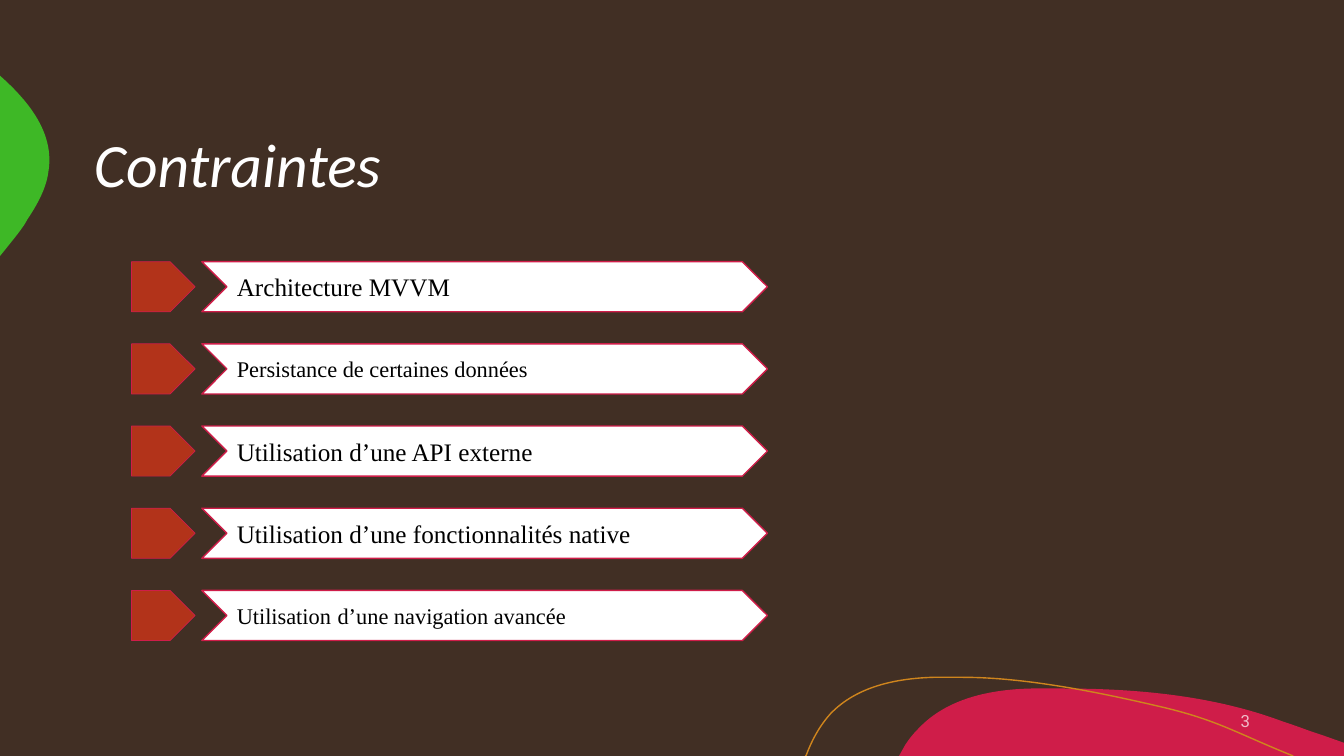
from dataclasses import dataclass

from lxml import etree
from pptx import Presentation
from pptx import util as u
from pptx.dml.color import RGBColor
from pptx.enum import shapes, text
from pptx.oxml import ns

BROWN = RGBColor(0x41, 0x2F, 0x24)
CRIMSON = RGBColor(0xCF, 0x1D, 0x49)
GREEN = RGBColor(0x3E, 0xB8, 0x26)
ORANGE = RGBColor(0xCF, 0x85, 0x1D)
RUST = RGBColor(0xB2, 0x33, 0x1A)
WHITE = RGBColor(0xFF, 0xFF, 0xFF)
BLACK = RGBColor(0x00, 0x00, 0x00)

FIRST_ROW_TOP, ROW_PITCH, ROW_HEIGHT = 186.9, 58.7, 35.8
MARKER_LEFT, MARKER_WIDTH = 94, 45.4
BANNER_LEFT, BANNER_WIDTH = 144.2, 404

Point = tuple[float, float]


@dataclass
class Blob:
    """Outline whose segments hold one point (line) or three (Bezier curve)."""
    start: Point
    segments: list[tuple[Point, ...]]
    fill: RGBColor | None = None
    line: RGBColor | None = None


@dataclass
class Constraint:
    label: str
    size: float


@dataclass
class TextStyle:
    font: str
    size: float
    color: RGBColor
    italic: bool = False
    align: text.PP_ALIGN = text.PP_ALIGN.LEFT
    line_spacing: float = 1.0


BLOBS = [
    Blob((758.9, 491.8), [
        ((812.2, 491.8), (866.9, 496.8), (916.6, 515.5)),
        ((925.9, 518.4), (934.6, 522), (943.9, 524.9)),
        ((960, 530.6),), ((960, 540),), ((642.2, 540),), ((646.6, 532.1),),
        ((649.4, 527.8), (652.3, 524.2), (655.9, 520.6)),
        ((676.1, 499), (707, 492.5), (736.6, 491.8)),
        ((743.8, 491.8), (751, 491.8), (758.9, 491.8)),
    ], fill=CRIMSON),
    Blob((0, 54), [
        ((0.7, 54.7),),
        ((21.6, 73.4), (38.9, 95.8), (34.6, 122.4)),
        ((33.1, 134.6), (26.6, 146.2), (19.4, 157)),
        ((17.3, 161.3), (12.2, 167.8), (5.8, 175.7)),
        ((0, 182.9),),
    ], fill=GREEN),
    Blob((575.3, 540), [
        ((576, 539.3),),
        ((580.3, 527.8), (586.1, 517.7), (593.3, 509.8)),
        ((612, 490.3), (640.1, 484.6), (666.7, 483.8)),
        ((687.6, 483.8),),
        ((735.8, 483.8), (792, 496.1), (831.6, 505.4)),
        ((870.5, 514.8), (882.7, 523.4), (923.8, 540)),
    ], line=ORANGE),
]

CONSTRAINTS = [
    Constraint("Architecture MVVM", 18),
    Constraint("Persistance de certaines données", 16),
    Constraint("Utilisation d’une API externe", 18),
    Constraint("Utilisation d’une fonctionnalités native", 18),
    Constraint("Utilisation \td’une navigation avancée", 16),
]


def paint(shape, fill: RGBColor | None, line: RGBColor | None, width: float = 1) -> None:
    shape.shadow.inherit = False
    for part, color in ((shape.fill, fill), (shape.line.fill, line)):
        if color is None:
            part.background()
        else:
            part.solid()
            part.fore_color.rgb = color
    if line is not None:
        shape.line.width = u.Pt(width)


def bend(shape, segments: list[tuple[Point, ...]]) -> None:
    """Replace the straight steps of three-point segments with Bezier curves."""
    steps = list(shape.element.iter(ns.qn("a:lnTo")))
    for step, segment in zip(steps, segments):
        if len(segment) == 1:
            continue
        curve = etree.Element(ns.qn("a:cubicBezTo"))
        for x, y in segment:
            etree.SubElement(curve, ns.qn("a:pt"),
                             x=str(u.Pt(x) - shape.left), y=str(u.Pt(y) - shape.top))
        step.getparent().replace(step, curve)


def draw_blob(slide, blob: Blob) -> None:
    builder = slide.shapes.build_freeform(*map(u.Pt, blob.start))
    ends = [tuple(map(u.Pt, segment[-1])) for segment in blob.segments]
    builder.add_line_segments(ends, close=blob.fill is not None)
    shape = builder.convert_to_shape()
    bend(shape, blob.segments)
    paint(shape, blob.fill, blob.line)


def write(shape, words: str, style: TextStyle):
    """Put one styled line of text into the shape and return its run."""
    frame = shape.text_frame
    paragraph = frame.paragraphs[0]
    run = paragraph.add_run()
    run.text = words
    run.font.color.rgb = style.color
    formats = {
        frame: {"word_wrap": True, "vertical_anchor": text.MSO_ANCHOR.MIDDLE},
        paragraph: {"alignment": style.align, "line_spacing": style.line_spacing},
        run.font: {"name": style.font, "size": u.Pt(style.size), "italic": style.italic},
    }
    for target, values in formats.items():
        for name, value in values.items():
            setattr(target, name, value)
    return run


def add_text(slide, box: tuple[float, ...], words: str, style: TextStyle):
    return write(slide.shapes.add_textbox(*map(u.Pt, box)), words, style)


def draw_constraint(slide, row: int, constraint: Constraint) -> None:
    top = FIRST_ROW_TOP + row * ROW_PITCH
    marker = slide.shapes.add_shape(
        shapes.MSO_SHAPE.PENTAGON,
        *map(u.Pt, (MARKER_LEFT, top, MARKER_WIDTH, ROW_HEIGHT)))
    paint(marker, RUST, CRIMSON, 0.5)
    banner = slide.shapes.add_shape(
        shapes.MSO_SHAPE.CHEVRON,
        *map(u.Pt, (BANNER_LEFT, top, BANNER_WIDTH, ROW_HEIGHT)))
    paint(banner, WHITE, CRIMSON)
    write(banner, constraint.label, TextStyle("Times New Roman", constraint.size, BLACK))


def set_opacity(run, percent: int) -> None:
    color = run.font.fill._xPr.find(".//" + ns.qn("a:srgbClr"))
    etree.SubElement(color, ns.qn("a:alpha"), val=str(percent * 1000))


def main() -> None:
    presentation = Presentation()
    presentation.slide_width, presentation.slide_height = u.Pt(960), u.Pt(540)
    slide = presentation.slides.add_slide(presentation.slide_layouts[6])
    slide.background.fill.solid()
    slide.background.fill.fore_color.rgb = BROWN
    for blob in BLOBS:
        draw_blob(slide, blob)
    add_text(slide, (60, 60, 840, 120), "Contraintes",
             TextStyle("Calibri", 44, WHITE, italic=True, line_spacing=0.9))
    for row, constraint in enumerate(CONSTRAINTS):
        draw_constraint(slide, row, constraint)
    number = add_text(slide, (780, 500.4, 120, 28.8), "3",
                      TextStyle("Roboto", 12, WHITE, align=text.PP_ALIGN.RIGHT))
    set_opacity(number, 70)
    presentation.save("out.pptx")


if __name__ == "__main__":
    main()
